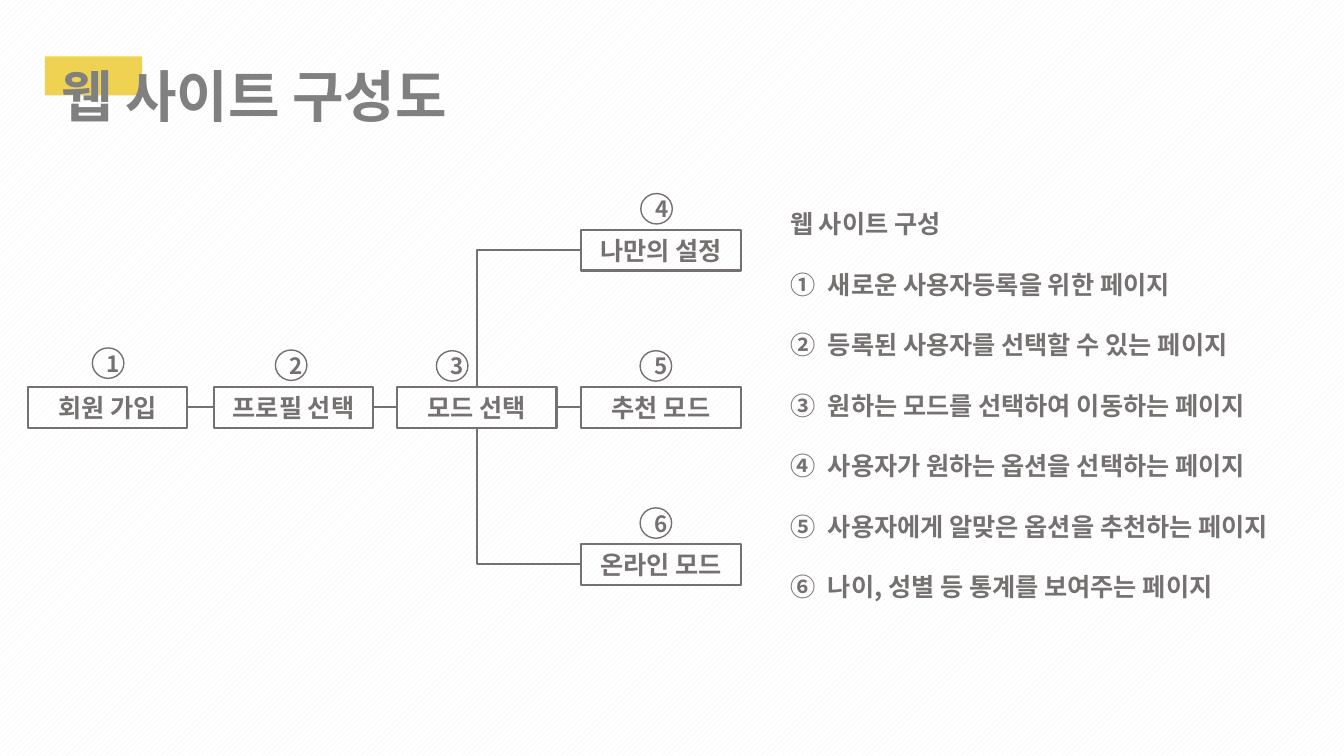
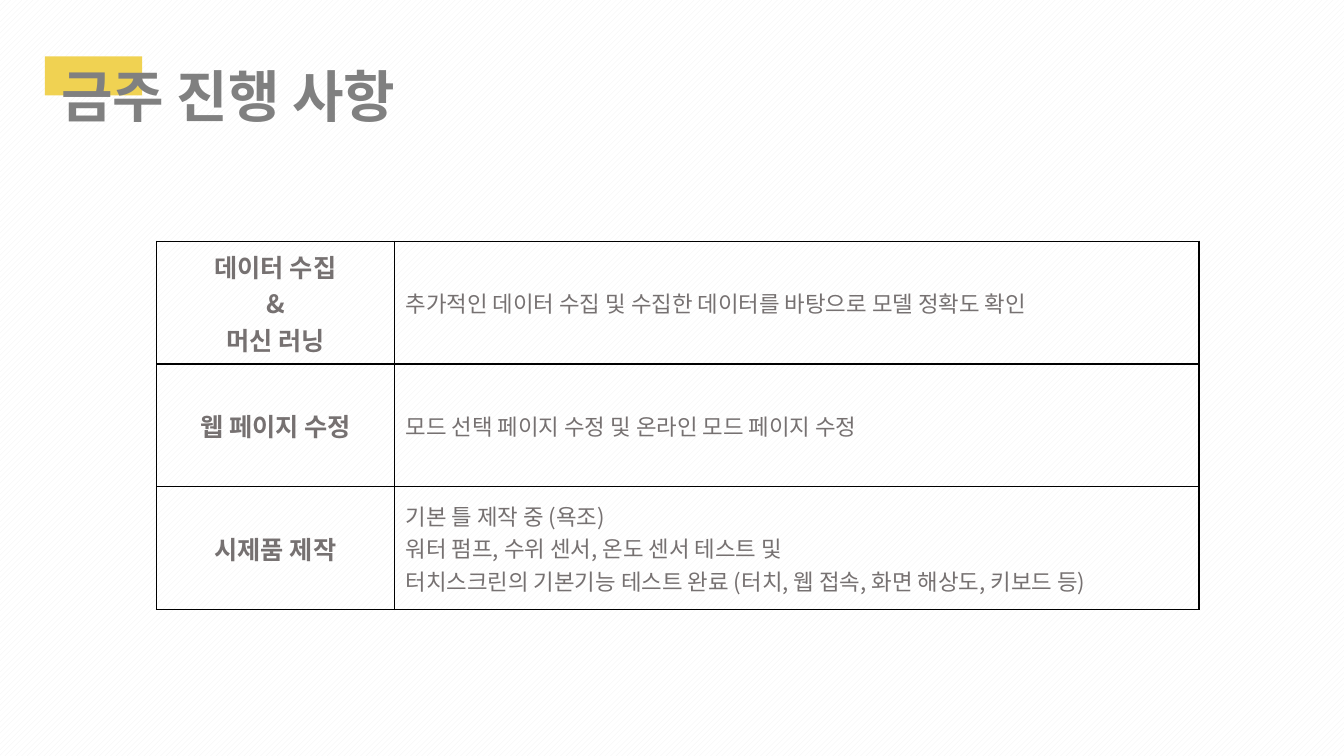
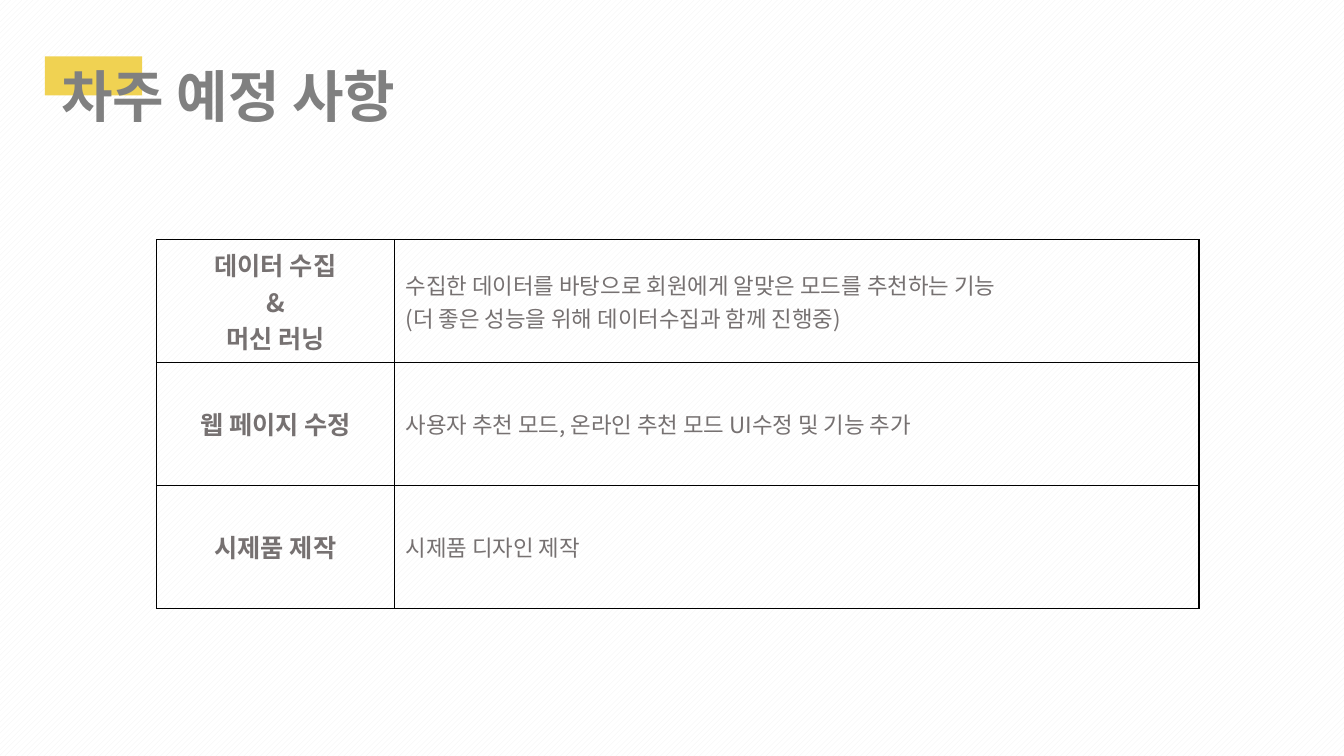
from lxml import etree
from pptx import Presentation
from pptx import util as u
from pptx.dml.color import RGBColor
from pptx.enum import dml, shapes, text
from pptx.oxml.ns import qn

Pt = u.Pt
FONT = "Noto Sans CJK KR"
GREY, TITLE_GREY, YELLOW = "767171", "808080", "F0D252"
WHITE, STRIPE, BLACK = "FFFFFF", "F2F2F2", "000000"

# Site map: label, column, row, badge offset from the node (x, y)
MAP_TITLE = "웹 사이트 구성도"
COLUMN_LEFTS = (20, 152.75, 283.75, 415.25)
NODES = [
    ("회원 가입", 0, 0, 46, -28),
    ("프로필 선택", 1, 0, 44, -26.5),
    ("모드 선택", 2, 0, 28, -26),
    ("나만의 설정", 3, -1, 42.5, -26),
    ("추천 모드", 3, 0, 42, -26),
    ("온라인 모드", 3, 1, 42, -26),
]
# Links: from node, side, to node, side
TOP, LEFT, BOTTOM, RIGHT = range(4)
LINKS = [
    (0, RIGHT, 1, LEFT),
    (1, RIGHT, 2, LEFT),
    (2, RIGHT, 4, LEFT),
    (3, LEFT, 2, TOP),
    (5, LEFT, 2, BOTTOM),
]
LIST_HEADING = "웹 사이트 구성"
LIST_ITEMS = [
    "새로운 사용자등록을 위한 페이지",
    "등록된 사용자를 선택할 수 있는 페이지",
    "원하는 모드를 선택하여 이동하는 페이지",
    "사용자가 원하는 옵션을 선택하는 페이지",
    "사용자에게 알맞은 옵션을 추천하는 페이지",
    "나이, 성별 등 통계를 보여주는 페이지",
]

# Progress tables: title, top of the table, details for each topic
TOPICS = [["데이터 수집", "&", "머신 러닝"], ["웹 페이지 수정"], ["시제품 제작"]]
REPORTS = [
    ("금주 진행 사항", 172.25, [
        ["추가적인 데이터 수집 및 수집한 데이터를 바탕으로 모델 정확도 확인"],
        ["모드 선택 페이지 수정 및 온라인 모드 페이지 수정"],
        ["기본 틀 제작 중 (욕조)",
         "워터 펌프, 수위 센서, 온도 센서 테스트 및",
         "터치스크린의 기본기능 테스트 완료 (터치, 웹 접속, 화면 해상도, 키보드 등)"],
    ]),
    ("차주 예정 사항", 171.25, [
        ["수집한 데이터를 바탕으로 회원에게 알맞은 모드를 추천하는 기능",
         "(더 좋은 성능을 위해 데이터수집과 함께 진행중)"],
        ["사용자 추천 모드, 온라인 추천 모드 UI수정 및 기능 추가"],
        ["시제품 디자인 제작"],
    ]),
]


def rgb(value):
    return RGBColor.from_string(value)


def write(frame, lines, size, bold=True, color=GREY, align=text.PP_ALIGN.LEFT):
    """Fill a text frame with one paragraph for each line, without kerning."""
    for index, line in enumerate(lines):
        para = frame.add_paragraph() if index else frame.paragraphs[0]
        para.text = line
        para.alignment = align
        font = para.font
        font.size, font.bold, font.name = Pt(size), bold, FONT
        font.color.rgb = rgb(color)
        defaults = para._p.pPr.find(qn("a:defRPr"))
        defaults.set("kern", "0")
        etree.SubElement(defaults, qn("a:ea"), typeface=FONT)


def add_box(page, kind, left, top, width, height, fill=None, line_width=None):
    box = page.shapes.add_shape(kind, Pt(left), Pt(top), Pt(width), Pt(height))
    box.shadow.inherit = False
    if fill:
        box.fill.solid()
        box.fill.fore_color.rgb = rgb(fill)
    else:
        box.fill.background()
    if line_width:
        box.line.color.rgb = rgb(GREY)
        box.line.width = Pt(line_width)
    else:
        box.line.fill.background()
    frame = box.text_frame
    frame.margin_top = frame.margin_bottom = 0
    frame.vertical_anchor = text.MSO_ANCHOR.MIDDLE
    return box


def add_text(page, left, top, width, height):
    box = page.shapes.add_textbox(Pt(left), Pt(top), Pt(width), Pt(height))
    box.text_frame.word_wrap = True
    return box.text_frame


def add_page(deck):
    page = deck.slides.add_slide(deck.slide_layouts[6])
    add_box(page, shapes.MSO_SHAPE.RECTANGLE, 32, 40.25, 69.5, 28, fill=YELLOW)
    return page


def add_title(page, title):
    frame = add_text(page, 36.75, 38.25, 568, 60)
    frame.margin_top = frame.margin_bottom = 0
    frame.vertical_anchor = text.MSO_ANCHOR.MIDDLE
    write(frame, [title], 40, color=TITLE_GREY)


def add_link(page, start, start_side, end, end_side):
    bent = end_side in (TOP, BOTTOM)
    kind = shapes.MSO_CONNECTOR.ELBOW if bent else shapes.MSO_CONNECTOR.STRAIGHT
    link = page.shapes.add_connector(kind, 0, 0, 0, 0)
    link.begin_connect(start, start_side)
    link.end_connect(end, end_side)
    link.line.color.rgb = rgb(GREY)
    link.line.width = Pt(1.5)
    properties = link._element.spPr
    if bent:  # a single corner
        properties.find(qn("a:prstGeom")).set("prst", "bentConnector2")
    etree.SubElement(properties, qn("a:effectLst"))


def add_site_map(page):
    # Nodes in columns around the middle row
    boxes = []
    places = [(COLUMN_LEFTS[column], 276.5 + 112.25 * row)
              for _, column, row, _, _ in NODES]
    for (label, *_), (left, top) in zip(NODES, places):
        box = add_box(page, shapes.MSO_SHAPE.RECTANGLE,
                      left, top, 113.75, 29, line_width=1.5)
        write(box.text_frame, [label], 18, align=text.PP_ALIGN.CENTER)
        boxes.append(box)
    for start, start_side, end, end_side in LINKS:
        add_link(page, boxes[start], start_side, boxes[end], end_side)
    # Numbered badges
    for number, (node, (left, top)) in enumerate(zip(NODES, places), 1):
        badge = add_box(page, shapes.MSO_SHAPE.OVAL, left + node[3],
                        top + node[4], 22.5, 21.75, line_width=1)
        write(badge.text_frame, [str(number)], 16, align=text.PP_ALIGN.CENTER)


def add_page_list(page):
    frame = add_text(page, 557.25, 123.75, 402, 306)
    write(frame, [LIST_HEADING] + LIST_ITEMS, 18)
    for index, para in enumerate(frame.paragraphs):
        para.line_spacing = 2.0
        if index:
            layout = para._p.pPr
            layout.set("marL", str(Pt(27)))
            layout.set("indent", str(-Pt(27)))
            bullet = etree.Element(qn("a:buAutoNum"), type="circleNumDbPlain")
            layout.find(qn("a:defRPr")).addprevious(bullet)


def style_cell(cell):
    cell.vertical_anchor = text.MSO_ANCHOR.MIDDLE
    cell.margin_left = cell.margin_right = Pt(8)
    cell.margin_top = cell.margin_bottom = Pt(4.25)
    properties = cell._tc.get_or_add_tcPr()
    for side in ("lnL", "lnR", "lnT", "lnB"):
        edge = etree.SubElement(properties, qn("a:" + side), w=str(Pt(1)))
        fill = etree.SubElement(edge, qn("a:solidFill"))
        etree.SubElement(fill, qn("a:srgbClr"), val=BLACK)
    cell.fill.background()


def add_report(page, top, details):
    widths, row_height = (170, 574.75), 87.75
    table = page.shapes.add_table(
        len(TOPICS), 2, Pt(111.75), Pt(top),
        Pt(sum(widths)), Pt(row_height * len(TOPICS))).table
    table.first_row = table.horz_banding = False
    for column, width in zip(table.columns, widths):
        column.width = Pt(width)
    for index, (topic, detail) in enumerate(zip(TOPICS, details)):
        table.rows[index].height = Pt(row_height)
        head, body = table.cell(index, 0), table.cell(index, 1)
        write(head.text_frame, topic, 18, align=text.PP_ALIGN.CENTER)
        write(body.text_frame, detail, 16, bold=False)
        style_cell(head)
        style_cell(body)


def main():
    deck = Presentation()
    deck.slide_width, deck.slide_height = Pt(960), Pt(540)

    # Striped background shared by all slides
    backdrop = deck.slide_master.background.fill
    backdrop.patterned()
    backdrop.pattern = dml.MSO_PATTERN.WIDE_UPWARD_DIAGONAL
    backdrop.fore_color.rgb = rgb(STRIPE)
    backdrop.back_color.rgb = rgb(WHITE)

    # Site map
    page = add_page(deck)
    add_site_map(page)
    add_page_list(page)
    add_title(page, MAP_TITLE)

    # Progress reports
    for title, top, details in REPORTS:
        page = add_page(deck)
        add_title(page, title)
        add_report(page, top, details)

    deck.save("out.pptx")


if __name__ == "__main__":
    main()
